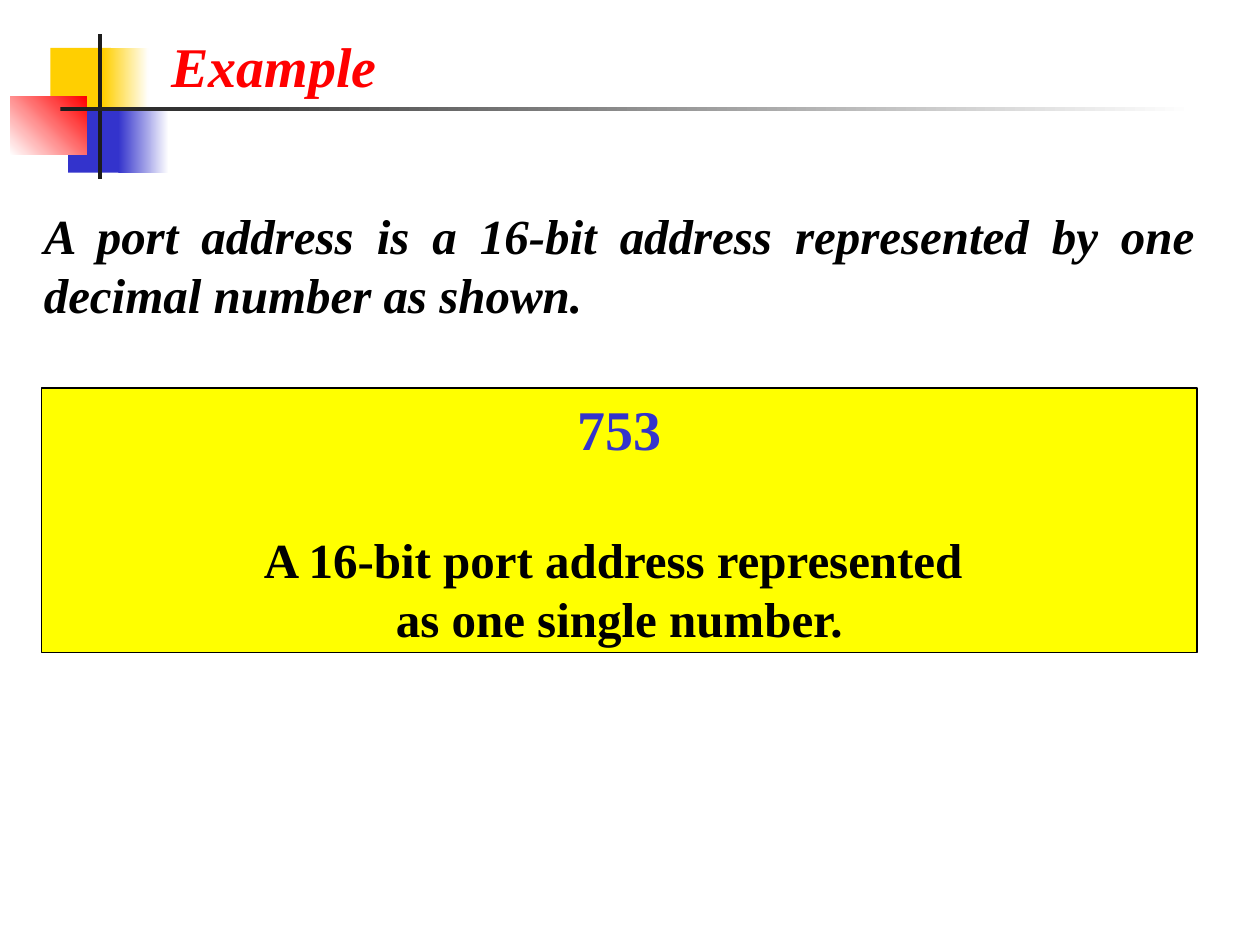
from pptx import Presentation
from pptx.dml.color import RGBColor
from pptx.enum.shapes import MSO_SHAPE
from pptx.enum.text import MSO_ANCHOR, MSO_AUTO_SIZE, PP_ALIGN
from pptx.util import Inches, Pt

RECTANGLE = MSO_SHAPE.RECTANGLE
TOP = MSO_ANCHOR.TOP
NO_AUTOFIT = MSO_AUTO_SIZE.NONE
LEFT, CENTER, JUSTIFY = PP_ALIGN.LEFT, PP_ALIGN.CENTER, PP_ALIGN.JUSTIFY

THEME = {
    "font": "Times New Roman",
    "large": Pt(32),
    "normal": Pt(28),
    "gold": RGBColor(0xFF, 0xCF, 0x01),
    "blue": RGBColor(0x33, 0x33, 0xCC),
    "red": RGBColor(0xFF, 0x00, 0x00),
    "dark": RGBColor(0x1C, 0x1C, 0x1C),
    "yellow": RGBColor(0xFF, 0xFF, 0x00),
    "black": RGBColor(0x00, 0x00, 0x00),
    "white": RGBColor(0xFF, 0xFF, 0xFF),
}


def add_rectangle(slide, box, colors, angle=0):
    """One color gives a solid fill, two give a gradient."""
    shape = slide.shapes.add_shape(RECTANGLE, *map(Inches, box))
    shape.shadow.inherit = False
    shape.line.fill.background()
    if len(colors) == 1:
        shape.fill.solid()
        shape.fill.fore_color.rgb = THEME[colors[0]]
    else:
        shape.fill.gradient()
        shape.fill.gradient_angle = angle
        for stop, color in zip(shape.fill.gradient_stops, colors):
            stop.color.rgb = THEME[color]
    return shape


def write_paragraph(paragraph, text, size, color, alignment, italic=False):
    paragraph.text = text
    paragraph.alignment = alignment
    formats = {"name": THEME["font"], "size": THEME[size], "bold": True, "italic": italic}
    for run in paragraph.runs:
        for name, value in formats.items():
            setattr(run.font, name, value)
        run.font.color.rgb = THEME[color]


presentation = Presentation()
presentation.slide_width = Inches(10)
presentation.slide_height = Inches(7.5)
slide = presentation.slides.add_slide(presentation.slide_layouts[5])

# Corner ornament and title rule
ornament = [
    ((0.4, 0.38, 0.48, 0.52), ["gold"], 0),
    ((0.82, 0.38, 0.36, 0.52), ["gold", "white"], 0),
    ((0.54, 0.85, 0.46, 0.52), ["blue"], 0),
    ((0.94, 0.85, 0.4, 0.52), ["blue", "white"], 0),
    ((0.08, 0.77, 0.61, 0.46), ["white", "red"], 45),
    ((0.78, 0.27, 0.03, 1.15), ["dark"], 0),
    ((0.48, 0.85, 9, 0.03), ["dark", "white"], 0),
]
for box, colors, angle in ornament:
    add_rectangle(slide, box, colors, angle)

# Title, statement and example box
title = slide.shapes.title
title.left, title.top, title.width, title.height = map(Inches, (1.26, 0.2, 1.94, 0.64))
statement = slide.shapes.add_textbox(*map(Inches, (0.25, 1.58, 9.33, 1.04)))
example = add_rectangle(slide, (0.33, 3.08, 9.17, 2.1), ["yellow"])
example.line.color.rgb = THEME["black"]
example.line.width = Pt(0.75)

for shape, wraps in ((title, False), (statement, True), (example, True)):
    frame_format = {"word_wrap": wraps, "auto_size": NO_AUTOFIT, "vertical_anchor": TOP}
    for name, value in frame_format.items():
        setattr(shape.text_frame, name, value)

write_paragraph(title.text_frame.paragraphs[0], "Example", "large", "red", LEFT, italic=True)
write_paragraph(
    statement.text_frame.paragraphs[0],
    "A port address is a 16-bit address represented by one decimal number as shown.",
    "normal", "black", JUSTIFY, italic=True,
)
write_paragraph(example.text_frame.paragraphs[0], "753", "large", "blue", CENTER)
caption = example.text_frame.add_paragraph()
caption.space_before = Pt(39)
write_paragraph(
    caption, "A 16-bit port address represented \vas one single number.",
    "normal", "black", CENTER,
)

presentation.save("out.pptx")
